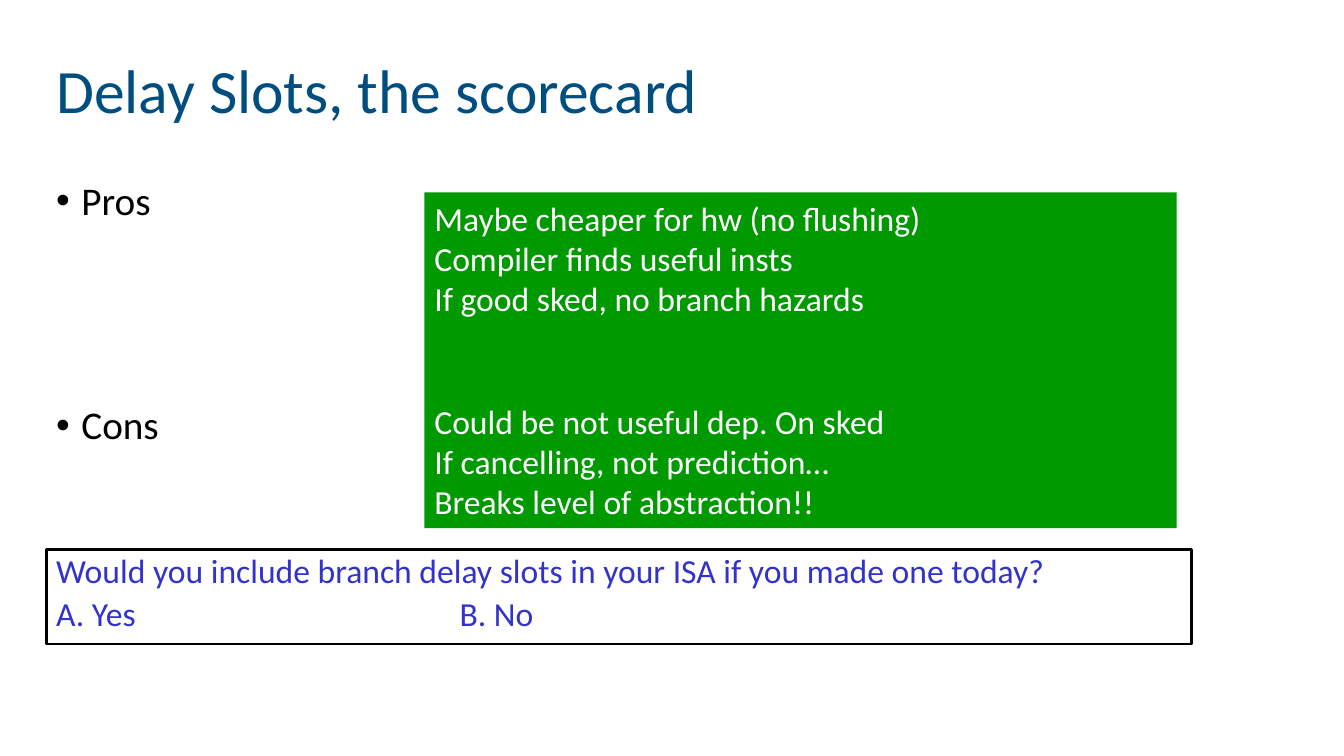
from lxml.etree import SubElement
from pptx import Presentation
from pptx.dml.color import RGBColor
from pptx.enum.shapes import MSO_SHAPE
from pptx.enum.text import MSO_ANCHOR, PP_ALIGN
from pptx.oxml.ns import qn
from pptx.util import Inches, Pt

PROS = ["Maybe cheaper for hw (no flushing)", "Compiler finds useful insts",
        "If good sked, no branch hazards"]
CONS = ["Could be not useful dep. On sked", "If cancelling, not prediction…",
        "Breaks level of abstraction!!"]


def color(value):
    """Turn a hex string into a colour."""
    return RGBColor.from_string(value)


def add_text_box(page, box):
    """Add a wrapping text box and return its frame."""
    frame = page.shapes.add_textbox(*map(Inches, box)).text_frame
    frame.word_wrap = True
    return frame


def add_panel(page, box, fill, line=None):
    """Add a filled rectangle and return its top-anchored frame."""
    panel = page.shapes.add_shape(MSO_SHAPE.RECTANGLE, *map(Inches, box))
    panel.shadow.inherit = False
    panel.fill.solid()
    panel.fill.fore_color.rgb = color(fill)
    if line:
        panel.line.color.rgb = color(line)
        panel.line.width = Pt(2)
    else:
        panel.line.fill.background()
    frame = panel.text_frame
    frame.word_wrap = True
    frame.vertical_anchor = MSO_ANCHOR.TOP
    return frame


def add_line(frame, text, size, ink, spacing=1.0, before=0):
    """Write one paragraph, reusing the empty first one."""
    first = frame.paragraphs[0]
    para = frame.add_paragraph() if first.runs else first
    para.alignment = PP_ALIGN.LEFT
    para.line_spacing = spacing
    para.space_before = Pt(before)
    span = para.add_run()
    span.text = text
    span.font.name = "Calibri"
    span.font.size = Pt(size)
    span.font.color.rgb = color(ink)
    return para


def add_title(page, box):
    """Place the slide title."""
    frame = add_text_box(page, box)
    frame.vertical_anchor = MSO_ANCHOR.MIDDLE
    add_line(frame, "Delay Slots, the scorecard", 44, "004D80", 0.9)


def add_headings(page, box):
    """Place the two bulleted headings."""
    frame = add_text_box(page, box)
    for text, before in [("Pros", 0), ("Cons", 130)]:
        para = add_line(frame, text, 28, "000000", 0.9, before)
        properties = para._p.get_or_add_pPr()
        properties.set("marL", str(Inches(0.25)))
        properties.set("indent", str(Inches(-0.25)))
        SubElement(properties, qn("a:buFont"), typeface="Arial")
        SubElement(properties, qn("a:buChar"), char="•")


def add_question(page, box):
    """Place the framed question with its two answers."""
    frame = add_panel(page, box, "FFFFFF", "000000")
    add_line(frame, "Would you include branch delay slots in your ISA if you made one today?",
             24, "3333CC", 0.9)
    answers = add_line(frame, "A. Yes\tB. No", 24, "3333CC", 0.9, 4.8)
    tabs = SubElement(answers._p.get_or_add_pPr(), qn("a:tabLst"))
    SubElement(tabs, qn("a:tab"), pos=str(Inches(4)), algn="l")


def add_scorecard(page, box):
    """Place the green panel of pros and cons."""
    frame = add_panel(page, box, "009900")
    for text in PROS + CONS:
        add_line(frame, text, 24, "FFFFFF", before=58.6 if text == CONS[0] else 0)


def main():
    """Build and save the deck."""
    deck = Presentation()
    deck.slide_width, deck.slide_height = Inches(13.33), Inches(7.5)
    page = deck.slides.add_slide(deck.slide_layouts[6])
    add_title(page, (0.46, 0.2, 12.63, 1.45))
    add_headings(page, (0.46, 1.75, 12.63, 5.01))
    add_question(page, (0.46, 5.45, 11.36, 0.94))
    add_scorecard(page, (4.21, 1.91, 7.46, 3.33))
    deck.save("out.pptx")


if __name__ == "__main__":
    main()
